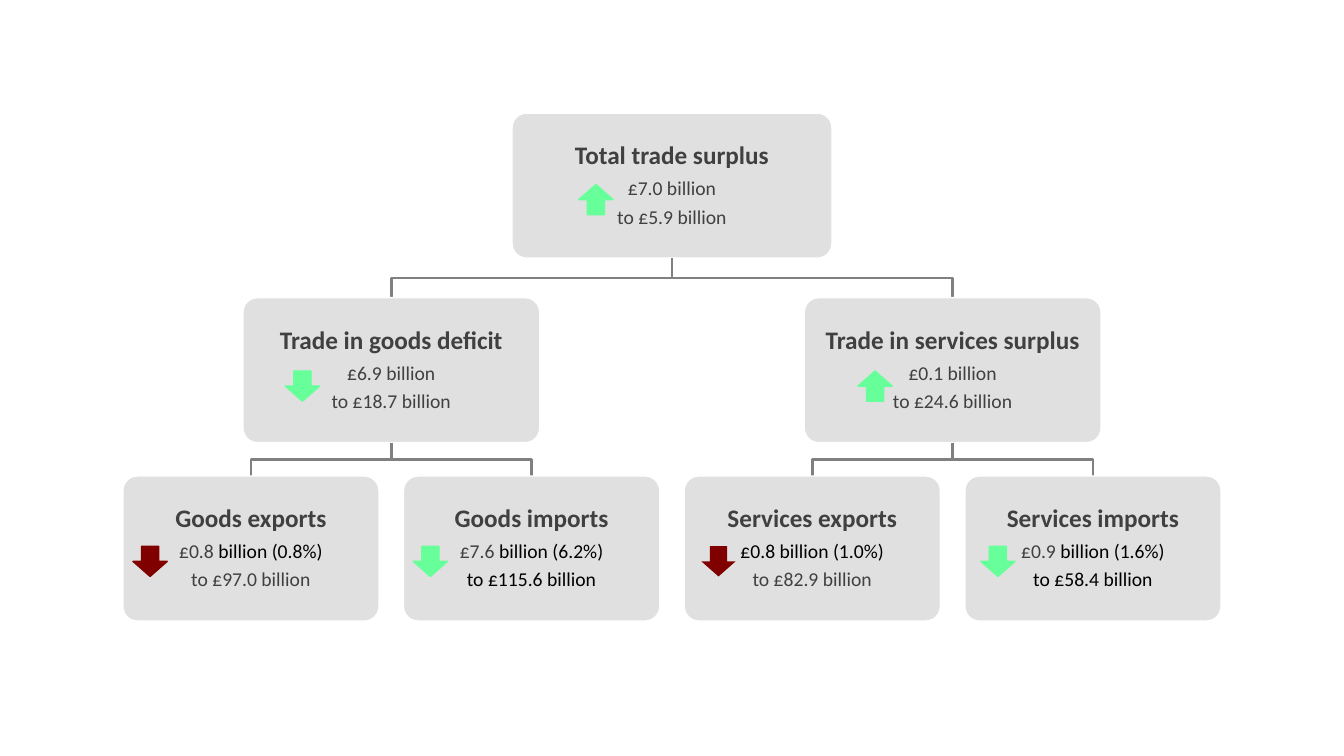
from collections import namedtuple
from dataclasses import dataclass

from lxml import etree
from pptx import Presentation
from pptx.dml.color import RGBColor as Color
from pptx.enum.shapes import MSO_SHAPE as Preset
from pptx.enum.text import MSO_ANCHOR as Anchor, PP_ALIGN as Align
from pptx.oxml.ns import qn
from pptx.util import Pt


@dataclass(frozen=True)
class Theme:
    font: str = "Calibri"
    heading_size: float = 18
    figure_size: float = 14
    text: str = "404040"
    strong: str = "000000"
    box: str = "BFBFBF"
    box_opacity: int = 48
    border: str = "FFFFFF"
    link: str = "808080"
    better: str = "66FF99"
    worse: str = "800000"


THEME = Theme()
DARK, BLACK = THEME.text, THEME.strong

Level = namedtuple("Level", "top width")
Arrow = namedtuple("Arrow", "left top color up outlined", defaults=(False, True))
Node = namedtuple("Node", "level center parent heading figures arrow")

CENTER = 480
LEAF_PITCH = 200.5
BOX_HEIGHT = 103.6
LEVELS = [Level(80.8, 228.5), Level(212.6, 212), Level(340, 183)]


def column(position):
    return CENTER + (position - 1.5) * LEAF_PITCH


NODES = [
    Node(0, column(1.5), None, "Total trade surplus",
         [[("£7.0 billion", DARK)], [("to £5.9 billion", DARK)]],
         Arrow(413.4, 131.8, THEME.better, up=True)),
    Node(1, column(0.5), 0, "Trade in goods deficit",
         [[("£6.9 billion", DARK)], [("to £18.7 billion", DARK)]],
         Arrow(203.8, 265, THEME.better)),
    Node(2, column(0), 1, "Goods exports",
         [[("£0.8 ", DARK), ("billion (0.8%)", BLACK)], [("to £97.0 billion", DARK)]],
         Arrow(95, 390.2, THEME.worse)),
    Node(2, column(1), 1, "Goods imports",
         [[("£7.6 ", DARK), ("billion (6.2%)", BLACK)], [("to £115.6 billion", BLACK)]],
         Arrow(295.2, 390.2, THEME.better)),
    Node(1, column(2.5), 0, "Trade in services surplus",
         [[("£0.1 billion", DARK)], [("to £24.6 billion", DARK)]],
         Arrow(612.8, 265, THEME.better, up=True)),
    Node(2, column(2), 4, "Services exports",
         [[("£0.8 billion (1.0%)", BLACK)], [("to £82.9 billion", DARK)]],
         Arrow(501, 390.2, THEME.worse, outlined=False)),
    Node(2, column(3), 4, "Services imports",
         [[("£0.9 ", DARK), ("billion (1.6%)", BLACK)], [("to £58.4 billion", BLACK)]],
         Arrow(700.6, 390.2, THEME.better)),
]


class TreeSlide:
    def __init__(self, slide, theme):
        self.slide = slide
        self.theme = theme

    def paint(self, shape, fill=None, line=None, line_width=1):
        shape.shadow.inherit = False
        for target, color in ((shape.fill, fill), (shape.line.fill, line)):
            if color is None:
                target.background()
            else:
                target.solid()
                target.fore_color.rgb = Color.from_string(color)
        if line:
            shape.line.width = Pt(line_width)

    def link(self, parent, child):
        start = LEVELS[parent.level].top + BOX_HEIGHT
        end = LEVELS[child.level].top
        bend = (start + end) / 2
        corners = [(parent.center, bend), (child.center, bend), (child.center, end)]
        builder = self.slide.shapes.build_freeform(Pt(parent.center), Pt(start))
        builder.add_line_segments([(Pt(x), Pt(y)) for x, y in corners], close=False)
        self.paint(builder.convert_to_shape(), line=self.theme.link, line_width=1.75)

    def box(self, node):
        level = LEVELS[node.level]
        shape = self.slide.shapes.add_shape(
            Preset.ROUNDED_RECTANGLE, Pt(node.center - level.width / 2), Pt(level.top),
            Pt(level.width), Pt(BOX_HEIGHT))
        shape.adjustments[0] = 0.1
        self.paint(shape, self.theme.box, self.theme.border)
        color = shape.fill._xPr.find(qn("a:solidFill"))[0]
        etree.SubElement(color, qn("a:alpha"), val=str(self.theme.box_opacity * 1000))

        frame = shape.text_frame
        frame.word_wrap = True
        frame.vertical_anchor = Anchor.MIDDLE
        frame.margin_left = frame.margin_right = Pt(8)
        frame.margin_top = frame.margin_bottom = Pt(8)
        self.line(frame.paragraphs[0], [(node.heading, self.theme.text)],
                  self.theme.heading_size, bold=True)
        for runs in node.figures:
            self.line(frame.add_paragraph(), runs, self.theme.figure_size)

    def line(self, paragraph, runs, size, bold=False):
        paragraph.alignment = Align.CENTER
        paragraph.line_spacing = 0.9
        paragraph.space_after = Pt(size * 0.35)
        for text, color in runs:
            run = paragraph.add_run()
            run.text = text
            run.font.name = self.theme.font
            run.font.size = Pt(size)
            run.font.bold = bold
            run.font.color.rgb = Color.from_string(color)

    def arrow(self, arrow):
        shape = self.slide.shapes.add_shape(
            Preset.DOWN_ARROW, Pt(arrow.left), Pt(arrow.top), Pt(24.5), Pt(21.6))
        shape.rotation = 180 if arrow.up else 0
        self.paint(shape, arrow.color, arrow.color if arrow.outlined else None)


def main():
    presentation = Presentation()
    presentation.slide_width = Pt(960)
    presentation.slide_height = Pt(540)
    slide = presentation.slides.add_slide(presentation.slide_layouts[6])
    tree = TreeSlide(slide, THEME)
    for node in NODES:
        if node.parent is not None:
            tree.link(NODES[node.parent], node)
        tree.box(node)
    for node in NODES:
        tree.arrow(node.arrow)
    presentation.save("out.pptx")


if __name__ == "__main__":
    main()
